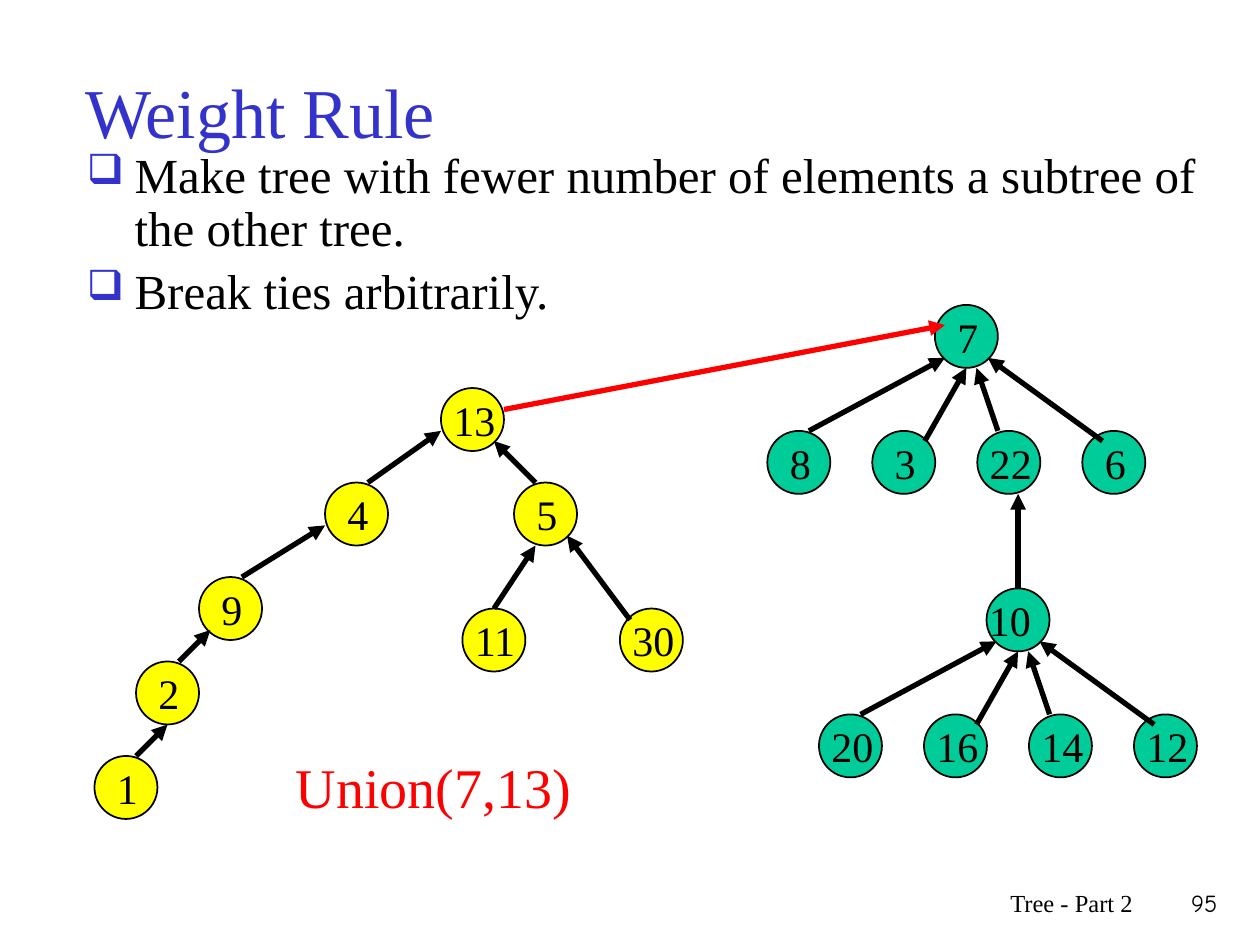
from lxml.etree import SubElement
from pptx import Presentation
from pptx.dml.color import RGBColor
from pptx.enum.shapes import MSO_CONNECTOR, MSO_SHAPE
from pptx.enum.text import MSO_ANCHOR, PP_ALIGN
from pptx.oxml.ns import qn
from pptx.util import Inches, Pt

COLORS = {
    "title": "3333CC",
    "text": "000000",
    "highlight": "FF0000",
    "left_tree": "FFFF00",
    "right_tree": "00CC99",
}
FORMATS = {
    "title": {"size": Pt(40), "name": "Times New Roman"},
    "body": {"size": Pt(28), "name": "Times New Roman"},
    "node": {"size": Pt(24), "name": "Times New Roman"},
    "union": {"size": Pt(32), "name": "Times New Roman"},
    "footer": {"size": Pt(14), "name": "Times New Roman"},
    "number": {"size": Pt(14), "name": "Comic Neue"},
}
NODE_SIZE = 0.5

presentation = Presentation()
presentation.slide_width = Inches(10)
presentation.slide_height = Inches(7.5)
slide = presentation.slides.add_slide(presentation.slide_layouts[6])


def add_text(lines, box, style, color="text", align=PP_ALIGN.LEFT, anchor=MSO_ANCHOR.TOP):
    shape = slide.shapes.add_textbox(*[Inches(value) for value in box])
    frame = shape.text_frame
    frame.word_wrap = True
    frame.vertical_anchor = anchor
    frame.text = "\n".join(lines)
    for paragraph in frame.paragraphs:
        paragraph.alignment = align
        font = paragraph.runs[0].font
        for attribute, value in FORMATS[style].items():
            setattr(font, attribute, value)
        font.color.rgb = RGBColor.from_string(COLORS[color])
    return frame


def add_arrow(start, end, color="text"):
    points = [Inches(value) for value in (*start, *end)]
    connector = slide.shapes.add_connector(MSO_CONNECTOR.STRAIGHT, *points)
    connector.line.width = Pt(3)
    connector.line.color.rgb = RGBColor.from_string(COLORS[color])
    SubElement(connector.line._get_or_add_ln(), qn("a:tailEnd"), type="triangle")
    SubElement(connector._element.spPr, qn("a:effectLst"))


add_text(["Weight Rule"], (0.58, 0.25, 8.5, 1.25), "title", "title", anchor=MSO_ANCHOR.MIDDLE)

body = add_text(
    [
        "Make tree with fewer number of elements a subtree of the other tree.",
        "Break ties arbitrarily.",
    ],
    (0.59, 1.15, 9.02, 1.57),
    "body",
)
for paragraph in body.paragraphs:
    paragraph.line_spacing = 0.9
    properties = paragraph._p.get_or_add_pPr()
    properties.set("marL", str(Inches(0.38)))
    properties.set("indent", str(Inches(-0.38)))
    bullet_color = SubElement(properties, qn("a:buClr"))
    SubElement(bullet_color, qn("a:srgbClr"), val=COLORS["title"])
    SubElement(properties, qn("a:buSzPct"), val="85000")
    SubElement(properties, qn("a:buChar"), char="❑")
body.paragraphs[1].space_before = Pt(5.6)

nodes = [
    ("13", 3.5, 3.08, "left_tree"),
    ("4", 2.58, 3.83, "left_tree"),
    ("5", 4.08, 3.83, "left_tree"),
    ("9", 1.58, 4.58, "left_tree"),
    ("11", 3.67, 4.83, "left_tree"),
    ("30", 4.92, 4.83, "left_tree"),
    ("2", 1.08, 5.25, "left_tree"),
    ("1", 0.75, 6, "left_tree"),
]
arrows = [
    ((2.92, 3.83), (3.5, 3.42)),
    ((4.25, 3.83), (3.92, 3.5)),
    ((1.92, 4.58), (2.58, 4.17)),
    ((3.92, 4.83), (4.25, 4.33)),
    ((5, 4.92), (4.5, 4.25)),
    ((1.42, 5.25), (1.67, 5)),
    ((1.08, 6), (1.33, 5.75)),
    ((8.08, 4.67), (8.08, 3.92)),
]

fans = [
    ("7", 7.42, 2.42, ["8", "3", "22", "6"]),
    ("10", 7.83, 4.67, ["20", "16", "14", "12"]),
]
fan_arrows = [
    ((-1, 1), (0.08, 0.42)),
    ((-0.08, 1.08), (0.25, 0.5)),
    ((0.5, 1), (0.33, 0.5)),
    ((1.33, 1.08), (0.42, 0.42)),
]
for root, left, top, children in fans:
    nodes.append((root, left, top, "right_tree"))
    for index, child in enumerate(children):
        nodes.append((child, left - 1.33 + index * 2.5 / 3, top + 1, "right_tree"))
    for start, end in fan_arrows:
        arrows.append(((left + start[0], top + start[1]), (left + end[0], top + end[1])))

label_shifts = {"10": -0.08}
for label, left, top, color in nodes:
    circle = slide.shapes.add_shape(
        MSO_SHAPE.OVAL, Inches(left), Inches(top), Inches(NODE_SIZE), Inches(NODE_SIZE)
    )
    circle.shadow.inherit = False
    circle.fill.solid()
    circle.fill.fore_color.rgb = RGBColor.from_string(COLORS[color])
    circle.line.color.rgb = RGBColor.from_string(COLORS["text"])
    circle.line.width = Pt(1)
    shift = label_shifts.get(label, 0.08 if len(label) == 1 else 0)
    width = 0.33 if len(label) == 1 else 0.75
    add_text([label], (left + shift, top, width, NODE_SIZE), "node")

for start, end in arrows:
    add_arrow(start, end)

add_text(["Union(7,13)"], (2.25, 5.92, 2.58, 0.63), "union", "highlight")
add_arrow((4, 3.25), (7.5, 2.58), "highlight")

add_text(["Tree - Part 2"], (5.92, 7, 3.17, 0.5), "footer", align=PP_ALIGN.RIGHT)
add_text(["95"], (9.08, 7, 0.68, 0.5), "number", align=PP_ALIGN.RIGHT)

presentation.save("out.pptx")
